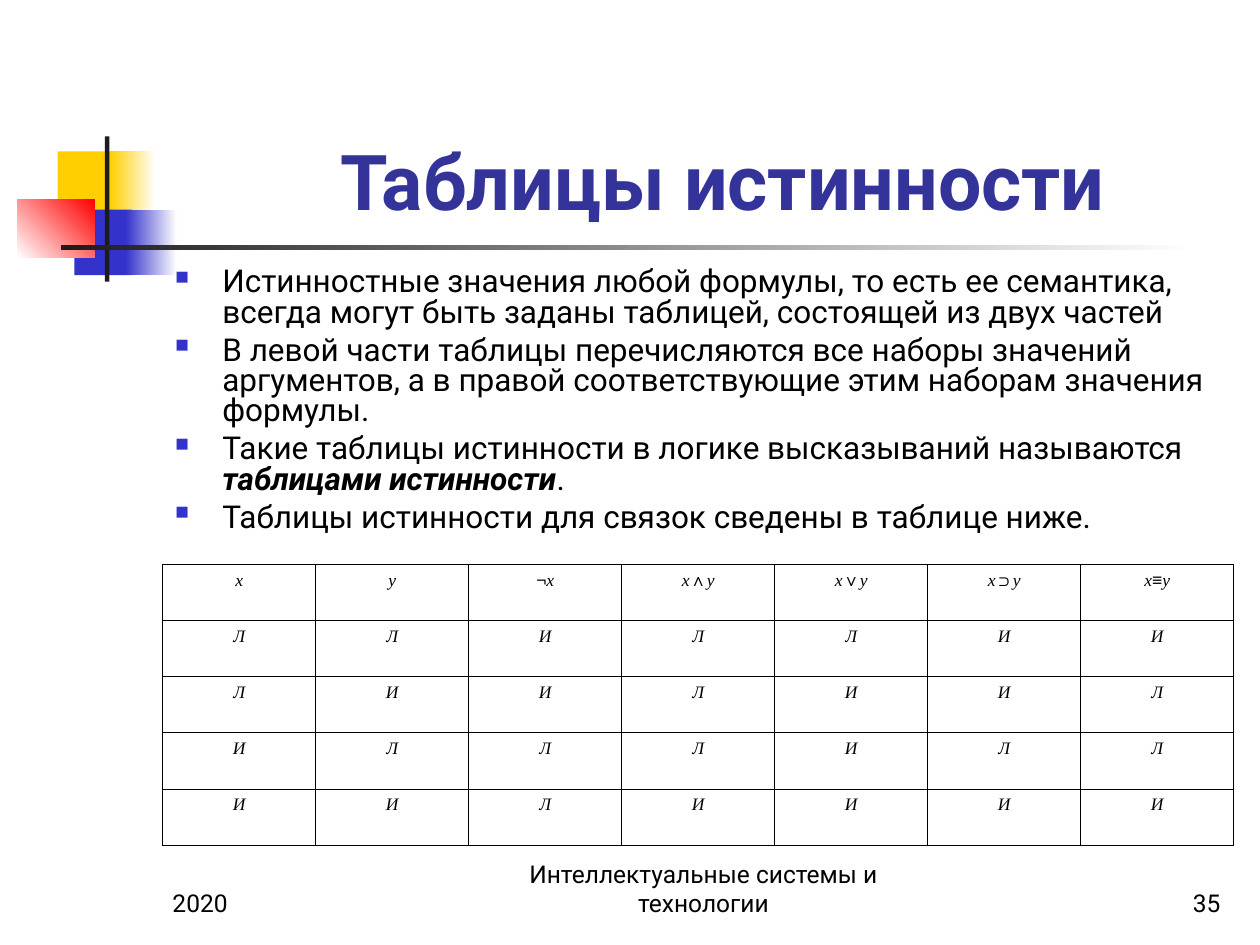
"""Build the slide on truth tables."""
from lxml import etree
from pptx import Presentation, util as u
from pptx.dml.color import RGBColor
from pptx.enum import shapes, text
from pptx.oxml import ns

COLORS = {"ink": "000000", "title": "333399", "blue": "3333CC", "yellow": "FFCF01",
          "red": "FF0000", "white": "FFFFFF", "bar": "1C1C1C"}
BULLETS = [
    [("Истинностные значения любой формулы, то есть ее семантика, "
      "всегда могут быть заданы таблицей, состоящей из двух частей", {})],
    [("В левой части таблицы перечисляются все наборы значений аргументов, "
      "а в правой соответствующие этим наборам значения формулы.", {})],
    [("Такие таблицы истинности в логике высказываний называются ", {}),
     ("таблицами истинности", {"bold": True, "italic": True}), (".", {})],
    [("Таблицы истинности для связок сведены в таблице ниже.", {})],
]
TRUTH = [["x", "y", "¬x", "x∧y", "x∨y", "x⊃y", "x≡y"],
         "ЛЛИЛЛИИ", "ЛИИЛИИЛ", "ИЛЛЛИЛЛ", "ИИЛИИИИ"]
ALIGN = text.PP_ALIGN


def rgb(name):
    return RGBColor.from_string(COLORS[name])


def sub(parent, tag, **attrs):
    return etree.SubElement(parent, ns.qn(tag), **attrs)


def add_run(p, txt, size=18, font="Roboto", color="ink", bold=False, italic=False):
    r = p.add_run()
    r.text = txt
    f = r.font
    f.size, f.name, f.bold, f.italic = u.Pt(size), font, bold, italic
    f.color.rgb = rgb(color)


class Deck:
    """Holds the style and the current slide."""

    def __init__(self, prs):
        self.s = prs.slides.add_slide(prs.slide_layouts[5])
        self.math_font, self.symbol_font = "Times New Roman", "Arial"
        self.small, self.footer_size, self.border = 10, 14, 0.45

    def title(self, txt, *box):
        sp = self.s.shapes.title
        sp.left, sp.top, sp.width, sp.height = map(u.Pt, box)
        tf = sp.text_frame
        tf.auto_size = text.MSO_AUTO_SIZE.NONE
        tf.vertical_anchor = text.MSO_ANCHOR.BOTTOM
        p = tf.paragraphs[0]
        p.alignment = ALIGN.CENTER
        add_run(p, txt, size=44, color="title", bold=True)

    def rect(self, box, start, end=None, angle=0):
        sp = self.s.shapes.add_shape(shapes.MSO_SHAPE.RECTANGLE, *map(u.Pt, box))
        sp.shadow.inherit = False
        sp.line.fill.background()
        if end is None:
            sp.fill.solid()
            sp.fill.fore_color.rgb = rgb(start)
            return
        sp.fill.gradient()
        sp.fill.gradient_angle = angle
        for stop, color, position in zip(sp.fill.gradient_stops, (start, end), (0, 1)):
            stop.color.rgb = rgb(color)
            stop.position = position

    def frame(self, box):
        tf = self.s.shapes.add_textbox(*map(u.Pt, box)).text_frame
        tf.word_wrap = True
        return tf

    def footer(self, txt, align, *box):
        tf = self.frame(box)
        tf.vertical_anchor = text.MSO_ANCHOR.BOTTOM
        p = tf.paragraphs[0]
        p.alignment = align
        add_run(p, txt, size=self.footer_size)

    def bullets(self, items, *box):
        tf = self.frame(box)
        for i, runs in enumerate(items):
            p = tf.add_paragraph() if i else tf.paragraphs[0]
            p.line_spacing = 0.8
            p.space_before = u.Pt(4.5 if i else 0)
            pPr = p._p.get_or_add_pPr()
            pPr.set("marL", str(u.Pt(27)))
            pPr.set("indent", str(-u.Pt(27)))
            sub(sub(pPr, "a:buClr"), "a:srgbClr", val=COLORS["blue"])
            sub(pPr, "a:buSzPct", val="60000")
            sub(pPr, "a:buChar", char="■")
            for txt, style in runs:
                add_run(p, txt, **style)

    def cell(self, cell, txt):
        p = cell.text_frame.paragraphs[0]
        p.alignment = ALIGN.CENTER
        for ch in txt:
            font = self.math_font if ch.isalpha() else self.symbol_font
            add_run(p, ch, size=self.small, font=font, italic=ch.isalpha() or ch == "¬")
        tcPr = cell._tc.get_or_add_tcPr()
        for side in "LRTB":
            ln = sub(tcPr, f"a:ln{side}", w=str(u.Pt(self.border)))
            sub(sub(ln, "a:solidFill"), "a:srgbClr", val=COLORS["ink"])
        cell.fill.background()

    def table(self, rows, left, top, col_width, row_height):
        n, m = len(rows), len(rows[0])
        tbl = self.s.shapes.add_table(n, m, u.Pt(left), u.Pt(top), u.Pt(m * col_width),
                                      u.Pt(n * row_height)).table
        tbl.first_row = tbl.horz_banding = False
        for col in tbl.columns:
            col.width = u.Pt(col_width)
        for i, row in enumerate(rows):
            tbl.rows[i].height = u.Pt(row_height)
            for j, txt in enumerate(row):
                self.cell(tbl.cell(i, j), txt)


def main():
    prs = Presentation()
    prs.slide_width, prs.slide_height = u.Pt(720), u.Pt(540)
    d = Deck(prs)
    d.rect((33, 86.5, 34.5, 37.5), "yellow")
    d.rect((63, 86.5, 26, 37.5), "yellow", "white")
    d.rect((42.5, 119.8, 33, 37.5), "blue")
    d.rect((72, 119.8, 29, 37.5), "blue", "white")
    d.rect((10, 114, 44, 33), "white", "red", angle=45)
    d.rect((60, 78, 2.5, 83), "bar")
    d.rect((34.7, 140.2, 648, 2.5), "bar", "white")
    d.title("Таблицы истинности", 106.5, 30, 613.5, 102.5)
    d.bullets(BULLETS, 93, 150, 612, 160.5)
    d.table(TRUTH, 93, 322.5, 87.43, 32.1)
    d.footer("2020", ALIGN.LEFT, 91.5, 492, 150, 36)
    d.footer("Интеллектуальные системы и технологии", ALIGN.CENTER, 288, 492, 228, 36)
    d.footer("35", ALIGN.RIGHT, 554.5, 492, 150, 36)
    prs.save("out.pptx")


if __name__ == "__main__":
    main()
